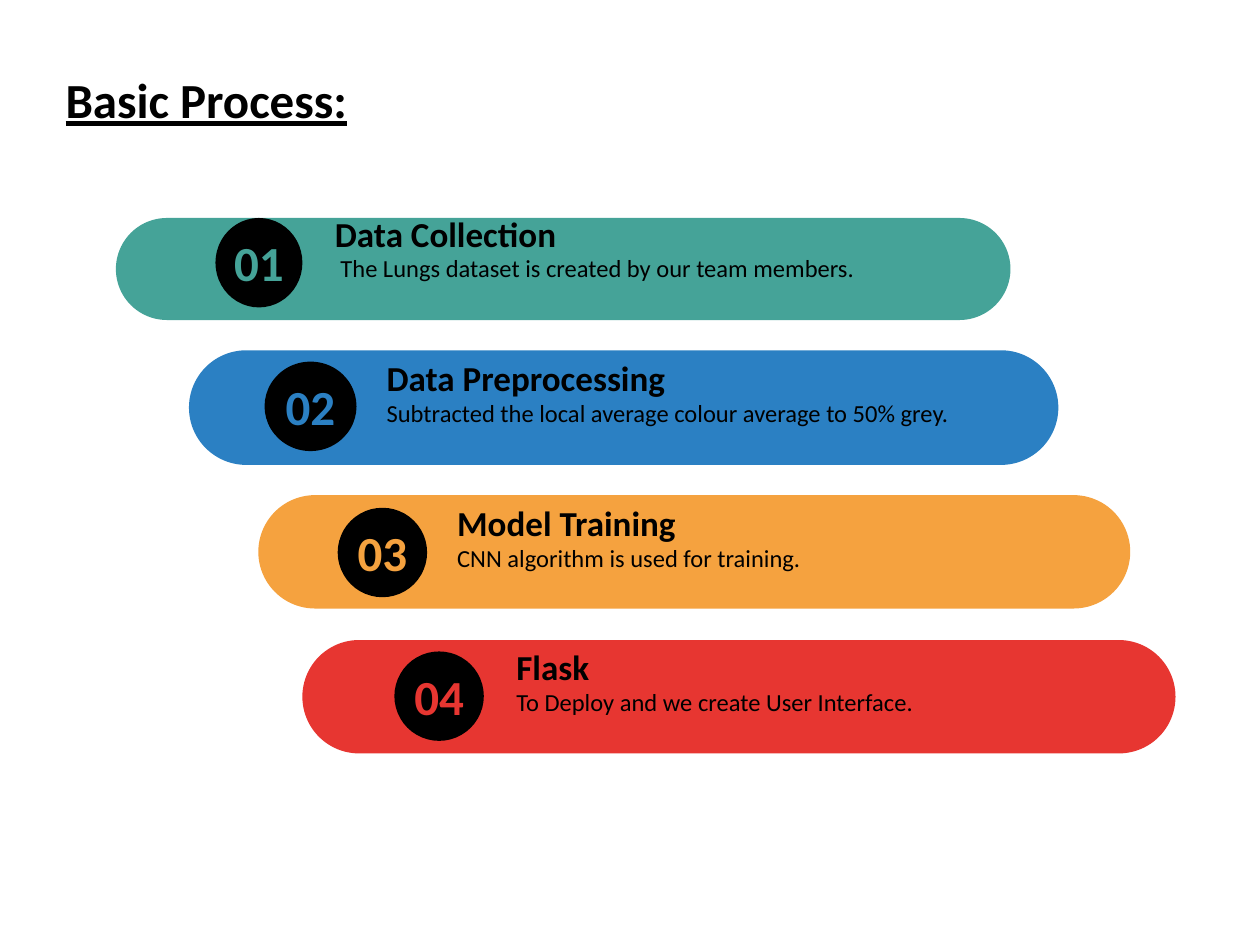
from pptx import Presentation
from pptx.dml.color import RGBColor
from pptx.enum import shapes, text
from pptx.util import Inches, Pt

COLORS = {"ink": "000000", "teal": "45A398", "blue": "2B80C3",
          "orange": "F5A23F", "red": "E73631"}

# colour, heading, detail, bar (left, top, width, height),
# badge (left, top, width), text (left, heading top, width)
STEPS = [
    ("teal", "Data Collection", " The Lungs dataset is created by our team members.",
     (0.92, 1.73, 7.1, 0.81), (1.71, 1.73, 0.69), (2.56, 1.63, 5.46)),
    ("blue", "Data Preprocessing", "Subtracted the local average colour average to 50% grey.",
     (1.5, 2.78, 6.9, 0.91), (2.1, 2.87, 0.73), (2.97, 2.78, 5.43)),
    ("orange", "Model Training", "CNN algorithm is used for training.",
     (2.05, 3.93, 6.92, 0.9), (2.68, 4.03, 0.71), (3.53, 3.93, 5.44)),
    ("red", "Flask", "To Deploy and we create User Interface.",
     (2.4, 5.08, 6.93, 0.9), (3.13, 5.17, 0.71), (4, 5.07, 5.43)),
]
BADGE_HEIGHT = 0.71

prs = Presentation()
prs.slide_width, prs.slide_height = Inches(10), Inches(7.5)
slide = prs.slides.add_slide(prs.slide_layouts[5])


def add_filled(preset, box, color):
    shape = slide.shapes.add_shape(preset, *map(Inches, box))
    shape.shadow.inherit = False
    shape.fill.solid()
    shape.fill.fore_color.rgb = RGBColor.from_string(COLORS[color])
    shape.line.fill.background()
    return shape


def write(holder, words, size, color="ink", bold=True, align=text.PP_ALIGN.LEFT,
          anchor=text.MSO_ANCHOR.TOP):
    """Fill a text holder with one formatted paragraph."""
    frame = holder.text_frame
    frame.text = words
    frame.word_wrap = True
    frame.auto_size = text.MSO_AUTO_SIZE.NONE
    frame.vertical_anchor = anchor
    paragraph = frame.paragraphs[0]
    paragraph.alignment = align
    font = paragraph.runs[0].font
    font.name, font.size, font.bold = "Calibri", Pt(size), bold
    font.color.rgb = RGBColor.from_string(COLORS[color])
    return font


title = slide.shapes.title
title.left, title.top = Inches(0.42), Inches(0.5)
title.width, title.height = Inches(5.4), Inches(0.57)
write(title, "Basic Process:", 28).underline = True

for number, (color, heading, detail, bar_box, badge, label) in enumerate(STEPS, 1):
    bar = add_filled(shapes.MSO_SHAPE.ROUNDED_RECTANGLE, bar_box, color)
    bar.adjustments[0] = 0.5

    left, top, width = badge
    add_filled(shapes.MSO_SHAPE.OVAL, (left, top, width, BADGE_HEIGHT), "ink")
    badge_number = slide.shapes.add_textbox(
        *map(Inches, (left, top + 0.07, width, 0.57)))
    write(badge_number, f"{number:02}", 28, color, align=text.PP_ALIGN.CENTER)

    left, top, width = label
    detail_text = slide.shapes.add_textbox(
        *map(Inches, (left, top + 0.33, width, 0.34)))
    write(detail_text, detail, 14, bold=False)
    heading_text = slide.shapes.add_textbox(*map(Inches, (left, top, width, 0.44)))
    write(heading_text, heading, 20, anchor=text.MSO_ANCHOR.MIDDLE)

prs.save("out.pptx")
